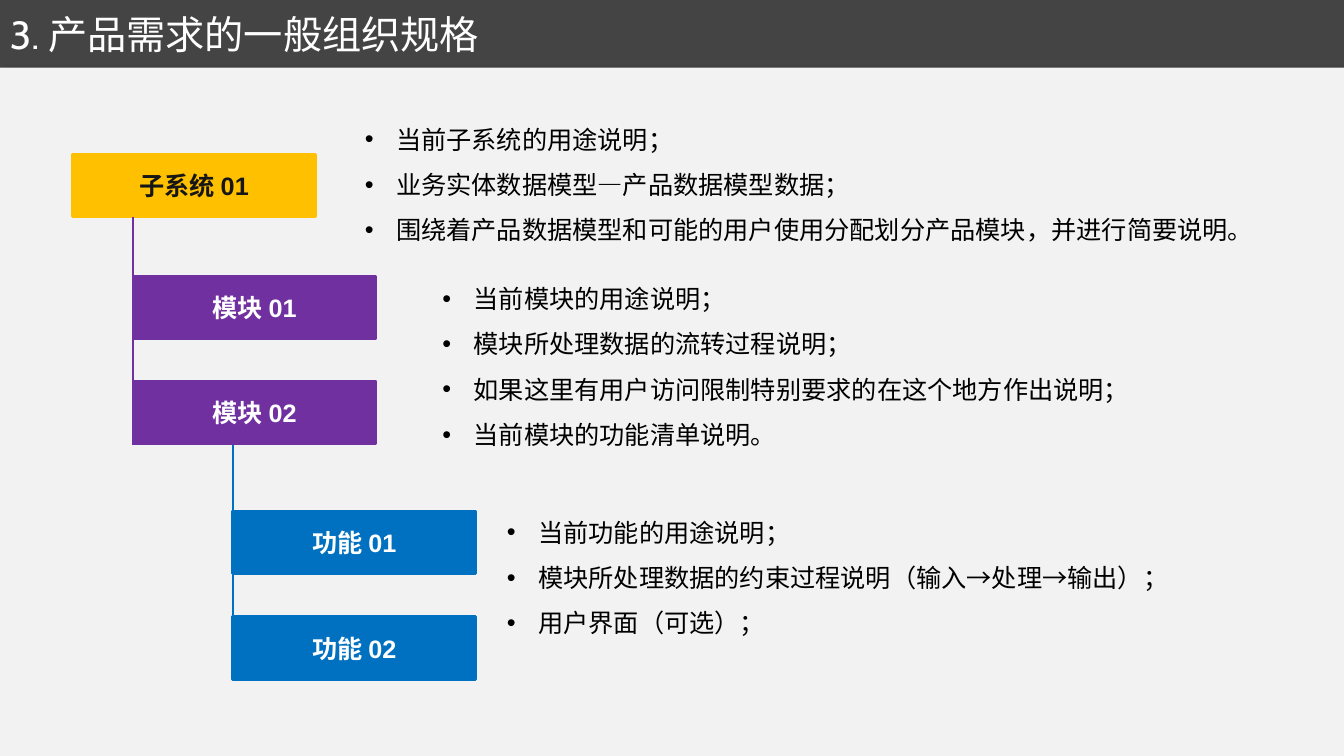
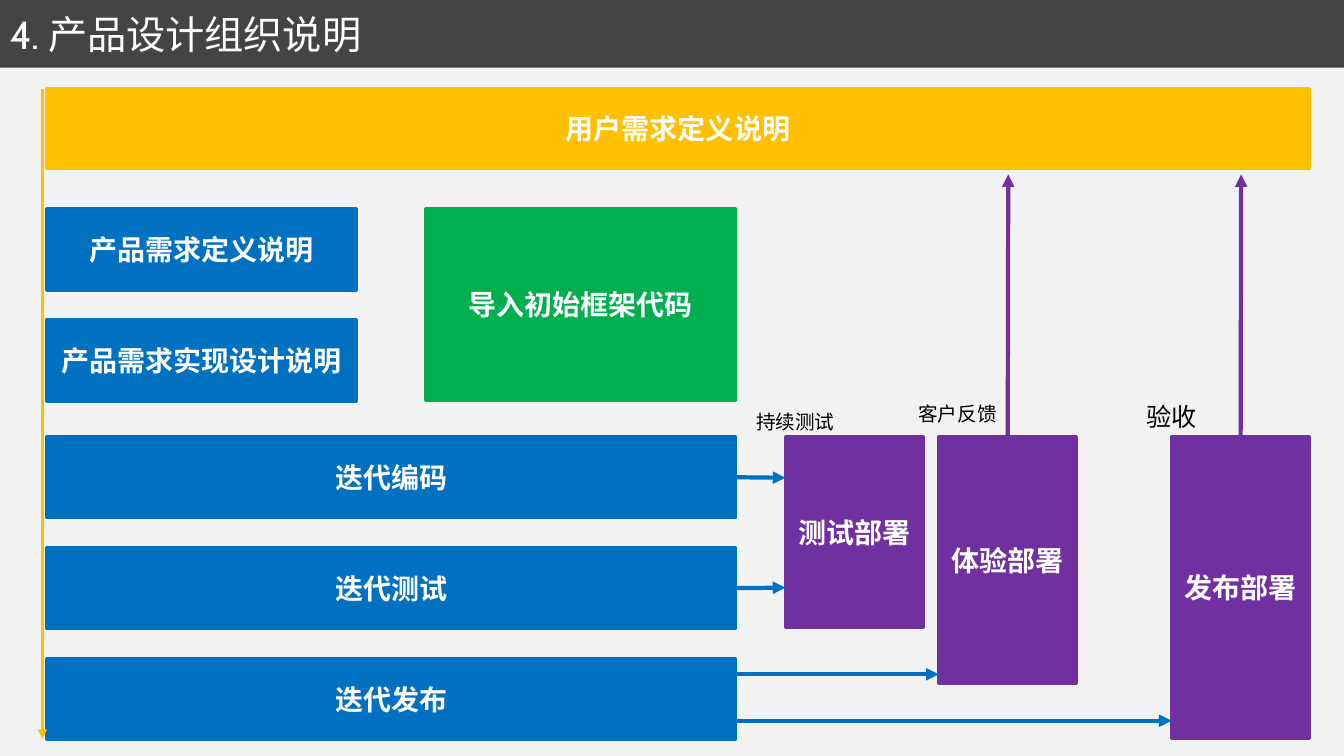
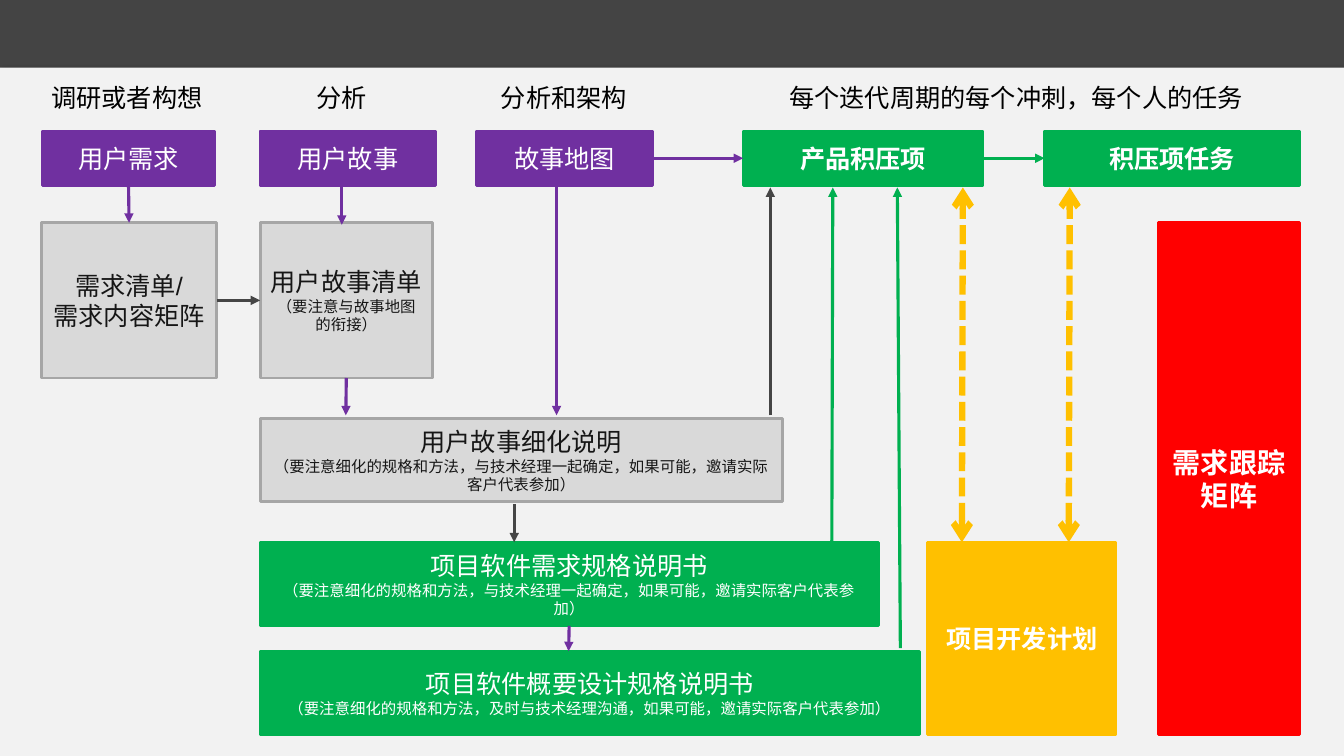
"""Build three slides on organising product requirements and design."""
from dataclasses import dataclass
from typing import NamedTuple

from lxml.etree import SubElement
from pptx import Presentation
from pptx.dml.color import RGBColor
from pptx.enum.dml import MSO_LINE
from pptx.enum.shapes import MSO_CONNECTOR as Link, MSO_SHAPE as Preset
from pptx.enum.text import MSO_ANCHOR as Anchor, MSO_AUTO_SIZE as AutoSize, PP_ALIGN as Align
from pptx.oxml.ns import qn
from pptx.util import Emu, Pt

EMU_PER_PX = 9144
TOP, LEFT, BOTTOM, RIGHT = range(4)


@dataclass(frozen=True)
class Theme:
    """Colours, fonts and type sizes shared by the slides."""
    band: str = "444444"
    panel: str = "F2F2F2"
    white: str = "FFFFFF"
    black: str = "000000"
    ink: str = "161616"
    yellow: str = "FFC000"
    purple: str = "7030A0"
    blue: str = "0070C0"
    green: str = "00B050"
    red: str = "FF0000"
    grey: str = "D9D9D9"
    grey_edge: str = "A6A6A6"
    charcoal: str = "454545"
    title_font: str = "Cabin"
    body_font: str = "Arial"
    label_font: str = "Noto Sans CJK SC"
    title_size: int = 28
    large_size: int = 20
    body_size: int = 18
    label_size: int = 14
    note_size: int = 11


THEME = Theme()


class Frame(NamedTuple):
    """Left, top, width and height in px."""
    left: int
    top: int
    width: int
    height: int


class Point(NamedTuple):
    """A free line end in px."""
    x: int
    y: int


class Site(NamedTuple):
    """A line end joined to the middle of a box side."""
    box: str
    side: int


@dataclass(frozen=True)
class Box:
    """A filled rectangle with centred text and an optional small note."""
    text: str
    frame: Frame
    fill: str
    size: int = THEME.body_size
    bold: bool = True
    ink: str = THEME.white
    edge: str = ""
    note: str = ""


@dataclass(frozen=True)
class Label:
    """A plain caption."""
    text: str
    frame: Frame
    size: int = THEME.body_size


@dataclass(frozen=True)
class BulletList:
    """A bulleted list."""
    items: tuple[str, ...]
    frame: Frame


@dataclass(frozen=True)
class Line:
    """A straight line with optional arrowheads."""
    begin: Point | Site
    end: Point | Site
    color: str
    width: float = 2.25
    head: str = ""
    tail: str = "triangle"
    dashed: bool = False


@dataclass(frozen=True)
class Page:
    """The content of one slide."""
    title: str
    boxes: tuple[Box, ...]
    lines: tuple[Line, ...]
    labels: tuple[Label, ...] = ()
    lists: tuple[BulletList, ...] = ()


def px(value: int) -> Emu:
    """Turn px into EMU."""
    return Emu(value * EMU_PER_PX)


def place(frame: Frame) -> tuple[Emu, ...]:
    """Turn a frame into EMU."""
    return tuple(px(value) for value in frame)


def rgb(color: str) -> RGBColor:
    """Turn a hex string into a colour."""
    return RGBColor.from_string(color)


def format_runs(paragraph, font: str, size: int, color: str, bold: bool = False) -> None:
    """Format every run of a paragraph."""
    for run in paragraph.runs:
        run.font.name = font
        run.font.size = Pt(size)
        run.font.bold = bold
        run.font.color.rgb = rgb(color)
        SubElement(run.font._element, qn("a:ea"), typeface=THEME.label_font)


def add_rectangle(slide, frame: Frame, fill: str):
    """Add a filled rectangle without line or shadow."""
    shape = slide.shapes.add_shape(Preset.RECTANGLE, *place(frame))
    shape.fill.solid()
    shape.fill.fore_color.rgb = rgb(fill)
    shape.line.fill.background()
    shape.shadow.inherit = False
    return shape


def add_panel(slide) -> None:
    """Add the light content panel with its soft shadow."""
    panel = add_rectangle(slide, Frame(0, 67, 1333, 683), THEME.panel)
    effects = panel._element.spPr.find(qn("a:effectLst"))
    shadow = SubElement(effects, qn("a:outerShdw"), blurRad=str(Pt(4)), dist=str(Pt(3)), dir="2700000")
    color = SubElement(shadow, qn("a:srgbClr"), val=THEME.black)
    SubElement(color, qn("a:alpha"), val="40000")


def add_title(slide, text: str) -> None:
    """Add the title on the dark band."""
    text_frame = slide.shapes.add_textbox(*place(Frame(0, 1, 1331, 65))).text_frame
    text_frame.word_wrap = True
    text_frame.vertical_anchor = Anchor.MIDDLE
    text_frame.text = text
    format_runs(text_frame.paragraphs[0], THEME.title_font, THEME.title_size, THEME.white)


def add_box(slide, box: Box):
    """Draw a box and return its shape."""
    shape = add_rectangle(slide, box.frame, box.fill)
    shape.line.color.rgb = rgb(box.edge or box.fill)
    shape.line.width = Pt(2)
    text_frame = shape.text_frame
    text_frame.word_wrap = True
    text_frame.vertical_anchor = Anchor.MIDDLE
    text_frame.text = f"{box.text}\n{box.note}" if box.note else box.text
    for paragraph in text_frame.paragraphs:
        paragraph.alignment = Align.CENTER
        size = THEME.note_size if paragraph.text == box.note else box.size
        format_runs(paragraph, THEME.body_font, size, box.ink, box.bold)
    return shape


def add_free_text(slide, frame: Frame, text: str, font: str, size: int):
    """Add unwrapped black text and return its paragraphs."""
    text_frame = slide.shapes.add_textbox(*place(frame)).text_frame
    text_frame.word_wrap = False
    text_frame.auto_size = AutoSize.SHAPE_TO_FIT_TEXT
    text_frame.text = text
    for paragraph in text_frame.paragraphs:
        format_runs(paragraph, font, size, THEME.black)
    return text_frame.paragraphs


def add_bullets(slide, bullets: BulletList) -> None:
    """Draw a bulleted list."""
    text = "\n".join(bullets.items)
    for paragraph in add_free_text(slide, bullets.frame, text, THEME.body_font, THEME.body_size):
        paragraph.line_spacing = 1.5
        properties = paragraph._p.get_or_add_pPr()
        properties.set("marL", str(px(31)))
        properties.set("indent", str(px(-31)))
        SubElement(properties, qn("a:buFont"), typeface=THEME.body_font)
        SubElement(properties, qn("a:buChar"), char="•")


def add_line(slide, line: Line, shapes: dict) -> None:
    """Draw a line and join its ends to boxes where asked."""
    ends = [end if isinstance(end, Point) else Point(0, 0) for end in (line.begin, line.end)]
    connector = slide.shapes.add_connector(Link.STRAIGHT, *(px(value) for end in ends for value in end))
    for end, connect in ((line.begin, connector.begin_connect), (line.end, connector.end_connect)):
        if isinstance(end, Site):
            connect(shapes[end.box], end.side)
    connector.line.color.rgb = rgb(line.color)
    connector.line.width = Pt(line.width)
    if line.dashed:
        connector.line.dash_style = MSO_LINE.SQUARE_DOT
    properties = connector._element.spPr
    for tag, kind in (("a:headEnd", line.head), ("a:tailEnd", line.tail)):
        if kind:
            SubElement(properties.find(qn("a:ln")), qn(tag), type=kind)
    SubElement(properties, qn("a:effectLst"))


def add_page(presentation, page: Page) -> None:
    """Add one slide."""
    slide = presentation.slides.add_slide(presentation.slide_layouts[6])
    add_panel(slide)
    if page.title:
        add_title(slide, page.title)
    shapes = {box.text: add_box(slide, box) for box in page.boxes}
    for label in page.labels:
        add_free_text(slide, label.frame, label.text, THEME.label_font, label.size)
    for line in page.lines:
        add_line(slide, line, shapes)
    for bullets in page.lists:
        add_bullets(slide, bullets)


def requirements_page() -> Page:
    """Describe the tree of subsystem, modules and functions."""
    nodes = (
        ("子系统 01", 72, 153, THEME.yellow, THEME.ink),
        ("模块 01", 132, 274, THEME.purple, THEME.white),
        ("模块 02", 132, 378, THEME.purple, THEME.white),
        ("功能 01", 231, 507, THEME.blue, THEME.white),
        ("功能 02", 231, 612, THEME.blue, THEME.white),
    )
    return Page(
        title="3. 产品需求的一般组织规格",
        boxes=tuple(Box(text, Frame(left, top, 241, 62), fill, ink=ink) for text, left, top, fill, ink in nodes),
        lines=(
            Line(Point(132, 215), Point(132, 441), THEME.purple, 1.5, tail=""),
            Line(Point(231, 441), Point(231, 674), THEME.blue, 1.5, tail=""),
        ),
        lists=(
            BulletList((
                "当前子系统的用途说明；",
                "业务实体数据模型—产品数据模型数据；",
                "围绕着产品数据模型和可能的用户使用分配划分产品模块，并进行简要说明。",
            ), Frame(352, 103, 910, 141)),
            BulletList((
                "当前模块的用途说明；",
                "模块所处理数据的流转过程说明；",
                "如果这里有用户访问限制特别要求的在这个地方作出说明；",
                "当前模块的功能清单说明。",
            ), Frame(429, 261, 708, 192)),
            BulletList((
                "当前功能的用途说明；",
                "模块所处理数据的约束过程说明（输入→处理→输出）；",
                "用户界面（可选）；",
            ), Frame(493, 493, 682, 146)),
        ),
    )


def design_page() -> Page:
    """Describe the design flow from requirements to deployment."""
    left, top, height, pitch = 46, 433, 81, 110
    size = THEME.large_size
    definitions = ("产品需求定义说明", "产品需求实现设计说明")
    iterations = ("迭代编码", "迭代测试", "迭代发布")
    deployments = (("测试部署", 779, 190), ("体验部署", 931, 245), ("发布部署", 1162, 300))
    boxes = (
        Box("用户需求定义说明", Frame(left, 88, 1253, 79), THEME.yellow, size),
        Box("导入初始框架代码", Frame(422, 207, 308, 190), THEME.green, size),
        *(Box(text, Frame(left, 207 + row * pitch, 308, height), THEME.blue, size)
          for row, text in enumerate(definitions)),
        *(Box(text, Frame(left, top + row * pitch, 684, height), THEME.blue, size)
          for row, text in enumerate(iterations)),
        *(Box(text, Frame(x, top, 137, tall), THEME.purple, size) for text, x, tall in deployments),
    )
    return Page(
        title="4. 产品设计组织说明",
        boxes=boxes,
        labels=(
            Label("持续测试", Frame(740, 402, 99, 34), THEME.label_size),
            Label("客户反馈", Frame(901, 394, 99, 34), THEME.label_size),
            Label("验收", Frame(1127, 393, 71, 40)),
        ),
        lines=(
            Line(Point(42, 88), Point(42, 733), THEME.yellow),
            Line(Site("迭代编码", RIGHT), Point(779, 474), THEME.blue, 3),
            Line(Site("迭代测试", RIGHT), Point(779, 583), THEME.blue, 3),
            Line(Point(731, 669), Point(931, 669), THEME.blue, 3),
            Line(Point(729, 715), Point(1162, 715), THEME.blue, 3),
            Line(Site("体验部署", TOP), Point(1000, 173), THEME.purple, 3),
            Line(Site("发布部署", TOP), Point(1231, 173), THEME.purple, 3),
        ),
    )


def artefacts_page() -> Page:
    """Describe how the artefacts lead to backlog and plan."""
    headers = (
        ("用户需求", 42, 171, THEME.purple), ("用户故事", 258, 174, THEME.purple),
        ("故事地图", 473, 174, THEME.purple), ("产品积压项", 737, 238, THEME.green),
        ("积压项任务", 1036, 253, THEME.green),
    )
    agree = "（要注意细化的规格和方法，与技术经理一起确定，如果可能，邀请实际客户代表参加）"
    discuss = "（要注意细化的规格和方法，及时与技术经理沟通，如果可能，邀请实际客户代表参加）"
    drafts = (
        ("需求清单/\n需求内容矩阵", Frame(41, 221, 174, 154), ""),
        ("用户故事清单", Frame(258, 221, 171, 154), "（要注意与故事地图的衔接）"),
        ("用户故事细化说明", Frame(258, 415, 518, 83), agree),
    )
    specifications = (
        ("项目软件需求规格说明书", Frame(258, 538, 613, 83), agree),
        ("项目软件概要设计规格说明书", Frame(258, 646, 654, 83), discuss),
    )
    captions = (
        ("调研或者构想", 41, 172), ("分析", 304, 71), ("分析和架构", 487, 146),
        ("每个迭代周期的每个冲刺，每个人的任务", 773, 475),
    )
    boxes = (
        *(Box(text, Frame(left, 130, width, 54), fill, bold=fill == THEME.green)
          for text, left, width, fill in headers),
        *(Box(text, frame, THEME.grey, bold=False, ink=THEME.ink, edge=THEME.grey_edge, note=note)
          for text, frame, note in drafts),
        *(Box(text, frame, THEME.green, bold=False, note=note) for text, frame, note in specifications),
        Box("项目开发计划", Frame(920, 538, 187, 191), THEME.yellow),
        Box("需求跟踪矩阵", Frame(1149, 221, 140, 508), THEME.red, THEME.large_size),
    )
    matrix = drafts[0][0]
    return Page(
        title="",
        boxes=boxes,
        labels=tuple(Label(text, Frame(left, 77, width, 40)) for text, left, width in captions),
        lines=(
            Line(Site("用户需求", BOTTOM), Site(matrix, TOP), THEME.purple),
            Line(Point(339, 186), Point(339, 223), THEME.purple),
            Line(Point(552, 186), Point(552, 412), THEME.purple),
            Line(Site("用户故事清单", BOTTOM), Point(343, 412), THEME.purple),
            Line(Site("故事地图", RIGHT), Site("产品积压项", LEFT), THEME.purple),
            Line(Site("项目软件需求规格说明书", BOTTOM), Point(564, 646), THEME.purple),
            Line(Point(764, 412), Point(764, 186), THEME.charcoal),
            Line(Point(510, 500), Point(510, 538), THEME.charcoal),
            Line(Site(matrix, RIGHT), Site("用户故事清单", LEFT), THEME.charcoal),
            Line(Point(825, 538), Point(826, 186), THEME.green),
            Line(Point(893, 643), Point(890, 186), THEME.green),
            Line(Site("产品积压项", RIGHT), Site("积压项任务", LEFT), THEME.green),
            *(Line(Point(x, 538), Point(x + 1, 186), THEME.yellow, 4.5, "arrow", "arrow", True)
              for x in (954, 1060)),
        ),
    )


def main() -> None:
    """Build and save the presentation."""
    presentation = Presentation()
    presentation.slide_width = px(1333)
    presentation.slide_height = px(750)
    background = presentation.slide_master.background.fill
    background.solid()
    background.fore_color.rgb = rgb(THEME.band)
    for page in (requirements_page(), design_page(), artefacts_page()):
        add_page(presentation, page)
    presentation.save("out.pptx")


if __name__ == "__main__":
    main()
